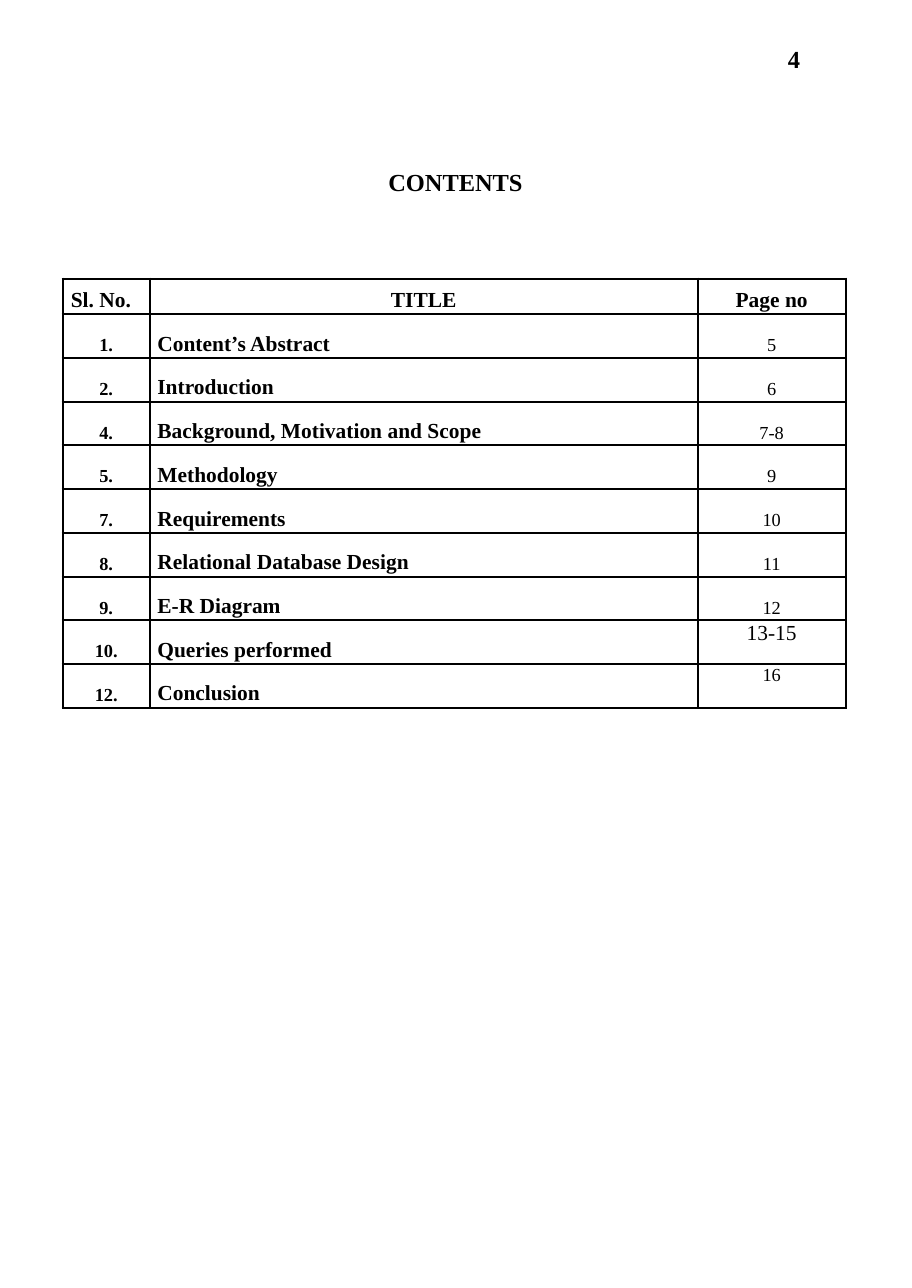
from lxml import etree
from pptx import Presentation
from pptx.dml.color import RGBColor
from pptx.enum import text as t
from pptx.oxml import ns
from pptx.util import Pt

FONT, INK = "Times New Roman", "000000"
LEFT, MID, RIGHT = t.PP_ALIGN.LEFT, t.PP_ALIGN.CENTER, t.PP_ALIGN.RIGHT
TOP, LOW = t.MSO_ANCHOR.TOP, t.MSO_ANCHOR.BOTTOM

HEADS = ["Sl. No.", "TITLE", "Page no"]
ITEMS = [
    ("1.", "Content’s Abstract", "5"),
    ("2.", "Introduction", "6"),
    ("4.", "Background, Motivation and Scope", "7-8"),
    ("5.", "Methodology", "9"),
    ("7.", "Requirements", "10"),
    ("8.", "Relational Database Design", "11"),
    ("9.", "E-R Diagram", "12"),
    ("10.", "Queries performed", "13-15"),
    ("12.", "Conclusion", "16"),
]
WIDTHS = [56.9, 358.2, 96.8]
HEAD_H, ITEM_H = 23.4, 28.6


def color(code):
    return RGBColor.from_string(code)


def apply(obj, form):
    for name, value in form.items():
        setattr(obj, name, value)


def write(frame, words, size, bold=True, align=LEFT, line=None):
    para = frame.paragraphs[0]
    apply(para, {"alignment": align, "line_spacing": Pt(line) if line else 1.0})
    run = para.add_run()
    run.text = words
    apply(run.font, {"name": FONT, "size": Pt(size), "bold": bold})
    run.font.color.rgb = color(INK)


def margins(left=0, top=0, right=0, bottom=0):
    sides = {"left": left, "top": top, "right": right, "bottom": bottom}
    return {f"margin_{side}": Pt(size) for side, size in sides.items()}


def border(cell, width=1.5):
    props = cell._tc.get_or_add_tcPr()
    for side in ("lnL", "lnR", "lnT", "lnB"):
        line = etree.SubElement(props, ns.qn(f"a:{side}"), w=str(Pt(width)))
        fill = etree.SubElement(line, ns.qn("a:solidFill"))
        etree.SubElement(fill, ns.qn("a:srgbClr"), val=INK)


def fill_cell(cell, words, size, bold, align, anchor, inset):
    border(cell)
    cell.fill.background()
    apply(cell, {"vertical_anchor": anchor, **inset})
    line = size + 2 if anchor == LOW else None
    write(cell.text_frame, words, size, bold, align, line)


def add_page(slide, x, y, w, h):
    frame = slide.shapes.add_textbox(Pt(x), Pt(y), Pt(w), Pt(h)).text_frame
    apply(frame, {"word_wrap": True, **margins(left=1, top=2.5)})
    write(frame, "4", 16)


def add_title(slide, x, y, w, h):
    title = slide.shapes.title
    apply(title, {"left": Pt(x), "top": Pt(y), "width": Pt(w), "height": Pt(h)})
    frame = title.text_frame
    apply(frame, {"word_wrap": True, "auto_size": t.MSO_AUTO_SIZE.NONE,
                  "vertical_anchor": LOW, **margins(right=1, bottom=1)})
    write(frame, "CONTENTS", 16, align=RIGHT)


def add_contents(slide, x, y):
    """Draw the ruled table with its top left corner at x, y."""
    high = HEAD_H + ITEM_H * len(ITEMS)
    table = slide.shapes.add_table(len(ITEMS) + 1, len(WIDTHS), Pt(x), Pt(y),
                                   Pt(sum(WIDTHS)), Pt(high)).table
    apply(table, {"first_row": False, "horz_banding": False})
    for col, width in zip(table.columns, WIDTHS):
        col.width = Pt(width)
    for i, row in enumerate(table.rows):
        row.height = Pt(ITEM_H if i else HEAD_H)

    base = margins(bottom=1.5)
    for col, words in enumerate(HEADS):
        inset = base if col else margins(right=7, bottom=1.5)
        fill_cell(table.cell(0, col), words, 14, True, MID, LOW, inset)

    for row, (num, name, page) in enumerate(ITEMS, 1):
        fill_cell(table.cell(row, 0), num, 12, True, MID, LOW, base)
        fill_cell(table.cell(row, 1), name, 14, True, LEFT, LOW,
                  margins(left=5, bottom=1.5))
        high_set = row > len(ITEMS) - 2
        fill_cell(table.cell(row, 2), page, 14 if page == "13-15" else 12, False,
                  MID, TOP if high_set else LOW,
                  margins(top=0.5) if high_set else base)


def main():
    deck = Presentation()
    apply(deck, {"slide_width": Pt(596.16), "slide_height": Pt(841.68)})
    slide = deck.slides.add_slide(deck.slide_layouts[5])
    add_page(slide, 514, 26.6, 10.5, 21)
    add_title(slide, 107.3, 70.6, 235.4, 59)
    add_contents(slide, 41, 182)
    deck.save("out.pptx")


if __name__ == "__main__":
    main()
